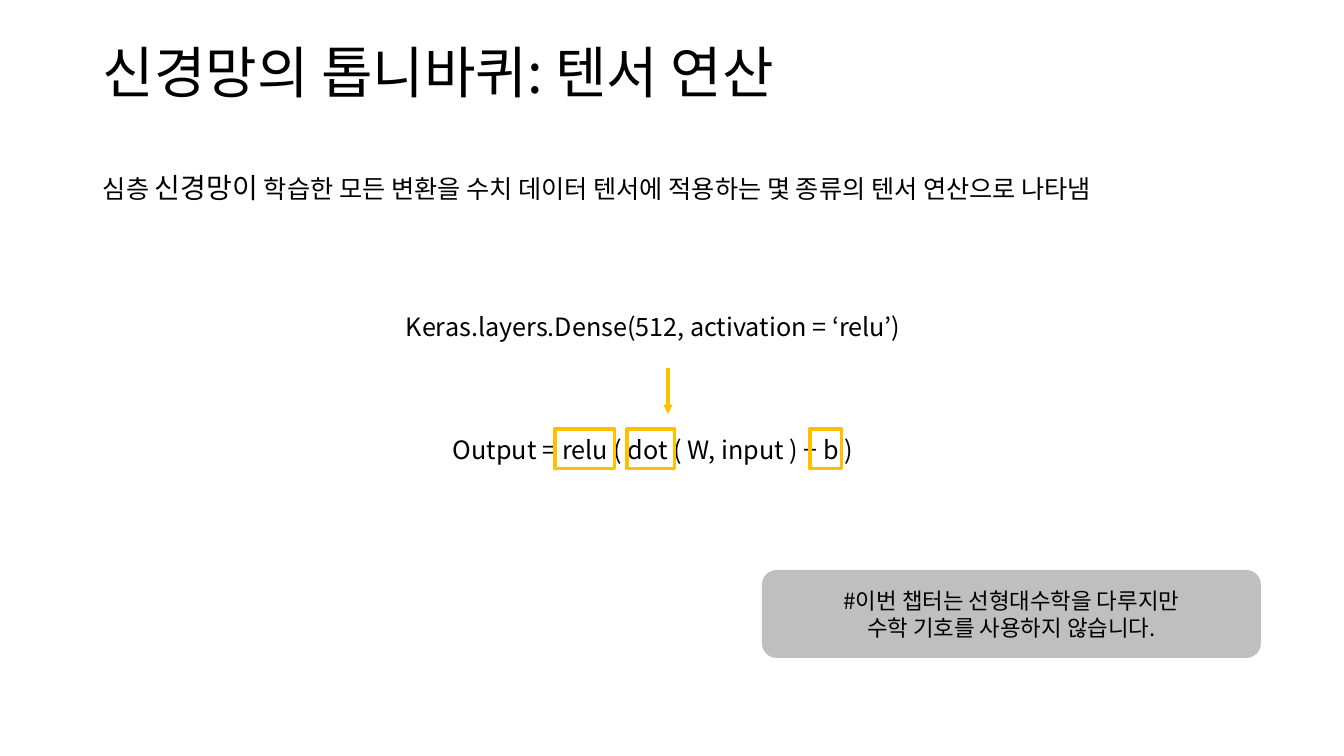
from lxml import etree
from pptx import Presentation
from pptx.dml.color import RGBColor
from pptx.enum.shapes import MSO_CONNECTOR, MSO_SHAPE
from pptx.enum.text import MSO_ANCHOR, PP_ALIGN
from pptx.oxml.ns import qn
from pptx.util import Pt

RECT, ROUND_RECT = MSO_SHAPE.RECTANGLE, MSO_SHAPE.ROUNDED_RECTANGLE
STRAIGHT = MSO_CONNECTOR.STRAIGHT
LEFT, CENTER = PP_ALIGN.LEFT, PP_ALIGN.CENTER
TOP, MIDDLE = MSO_ANCHOR.TOP, MSO_ANCHOR.MIDDLE


class Theme:
    font = "Noto Sans CJK KR"
    text = RGBColor.from_string("000000")
    accent = RGBColor.from_string("FFC000")
    note_fill = RGBColor.from_string("BFBFBF")
    title, emphasis, body, note = 40, 20, 18, 16
    line = Pt(2.25)


# Content; boxes are (left, top, width, height) in px
SLIDE = (1344, 756)
TITLE = ("신경망의 톱니바퀴: 텐서 연산", (93, 40, 1159, 146))
SUMMARY = [
    ("심층 ", Theme.body),
    ("신경망이", Theme.emphasis),
    (" 학습한 모든 변환을 수치 데이터 텐서에 적용하는 몇 종류의 텐서 연산으로 나타냄", Theme.body),
]
SUMMARY_BOX = (93, 166, 1111, 44)
FORMULAS = [
    ("Keras.layers.Dense(512, activation = ‘relu’)", (396, 306, 660, 40)),
    ("Output = relu ( dot ( W, input ) + b )", (443, 429, 660, 40)),
]
NOTE = ["#이번 챕터는 선형대수학을 다루지만", "수학 기호를 사용하지 않습니다."]
NOTE_BOX = (762, 570, 499, 88)
HIGHLIGHT_TOP, HIGHLIGHT_HEIGHT = 429, 40
HIGHLIGHTS = {"relu": (555, 60), "dot": (627, 48), "b": (810, 32)}  # left, width
ARROW = (668, 368, 668, 414)

EMU_PER_PX = 914400 / 100.8


def px(values):
    return [round(v * EMU_PER_PX) for v in values]


def fill_text(tf, paragraphs, size, align=LEFT, anchor=TOP, spacing=None):
    """Write paragraphs; each is a string or a list of (text, size) runs."""
    tf.word_wrap = True
    tf.vertical_anchor = anchor
    for i, content in enumerate(paragraphs):
        p = tf.add_paragraph() if i else tf.paragraphs[0]
        p.alignment = align
        if spacing:
            p.line_spacing = spacing
        p.font.size = Pt(size)
        p.font.color.rgb = Theme.text
        p.font.name = Theme.font
        latin = p._p.pPr.find(qn("a:defRPr")).find(qn("a:latin"))
        east_asian = etree.Element(qn("a:ea"), typeface=Theme.font)
        latin.addnext(east_asian)
        if isinstance(content, str):
            p.add_run().text = content
            continue
        for text, run_size in content:
            r = p.add_run()
            r.text = text
            r.font.size = Pt(run_size)


def add_text(s, box, paragraphs, size, **options):
    fill_text(s.shapes.add_textbox(*px(box)).text_frame, paragraphs, size, **options)


def add_note(s):
    sp = s.shapes.add_shape(ROUND_RECT, *px(NOTE_BOX))
    sp.shadow.inherit = False
    sp.fill.solid()
    sp.fill.fore_color.rgb = Theme.note_fill
    sp.line.fill.background()
    fill_text(sp.text_frame, NOTE, Theme.note, align=CENTER, anchor=MIDDLE)


def add_highlight(s, left, width):
    sp = s.shapes.add_shape(RECT, *px((left, HIGHLIGHT_TOP, width, HIGHLIGHT_HEIGHT)))
    sp.shadow.inherit = False
    sp.fill.background()
    sp.line.color.rgb = Theme.accent
    sp.line.width = Theme.line


def add_arrow(s):
    cx = s.shapes.add_connector(STRAIGHT, *px(ARROW))
    cx.line.color.rgb = Theme.accent
    cx.line.width = Theme.line
    etree.SubElement(cx.line._get_or_add_ln(), qn("a:tailEnd"), type="triangle")
    etree.SubElement(cx._element.spPr, qn("a:effectLst"))


def main():
    prs = Presentation()
    prs.slide_width, prs.slide_height = px(SLIDE)
    s = prs.slides.add_slide(prs.slide_layouts[6])

    title, title_box = TITLE
    add_text(s, title_box, [title], Theme.title, spacing=0.9)
    add_text(s, SUMMARY_BOX, [SUMMARY], Theme.body)
    for formula, box in FORMULAS:
        add_text(s, box, [formula], Theme.body)
    add_note(s)
    for left, width in HIGHLIGHTS.values():
        add_highlight(s, left, width)
    add_arrow(s)
    prs.save("out.pptx")


if __name__ == "__main__":
    main()
